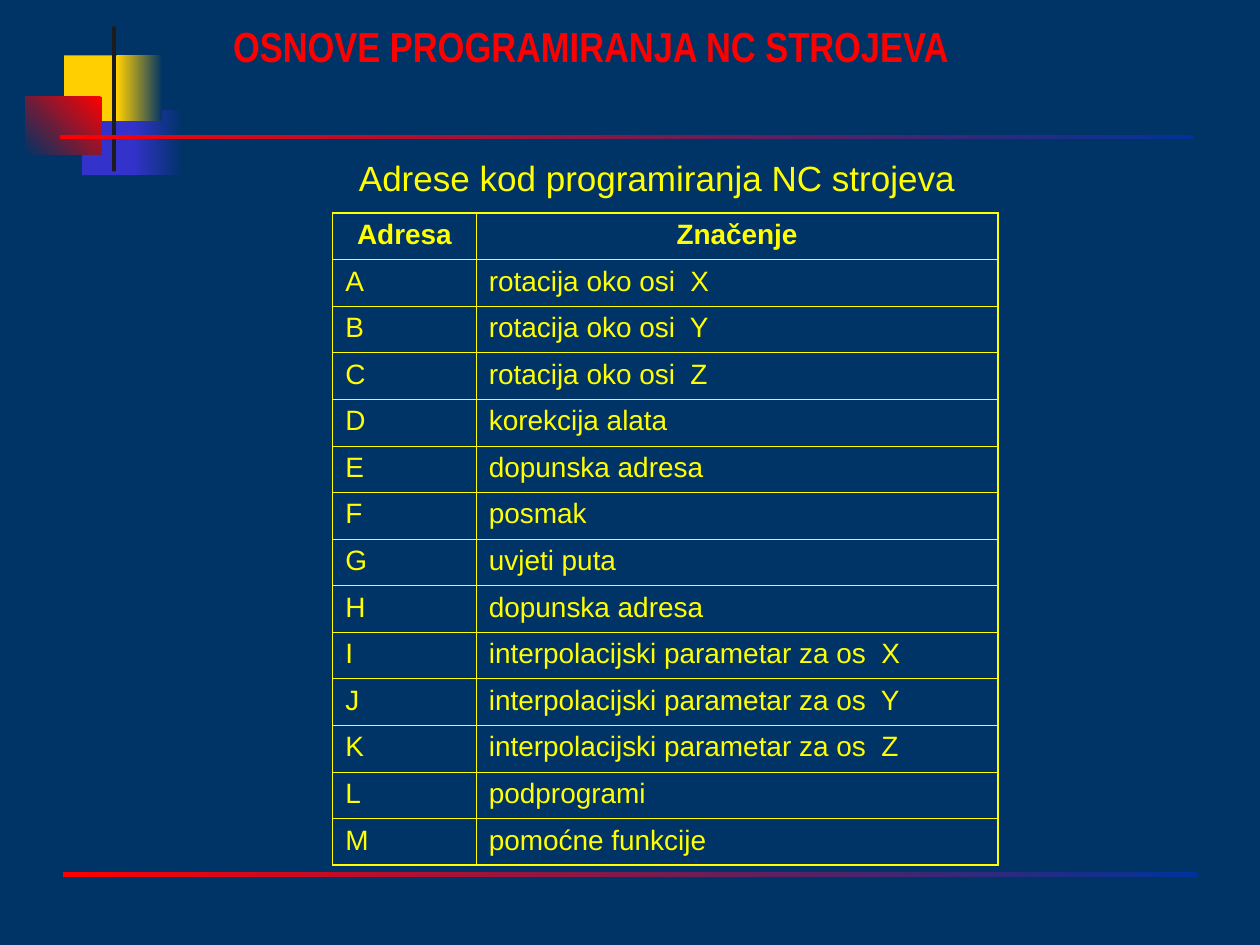
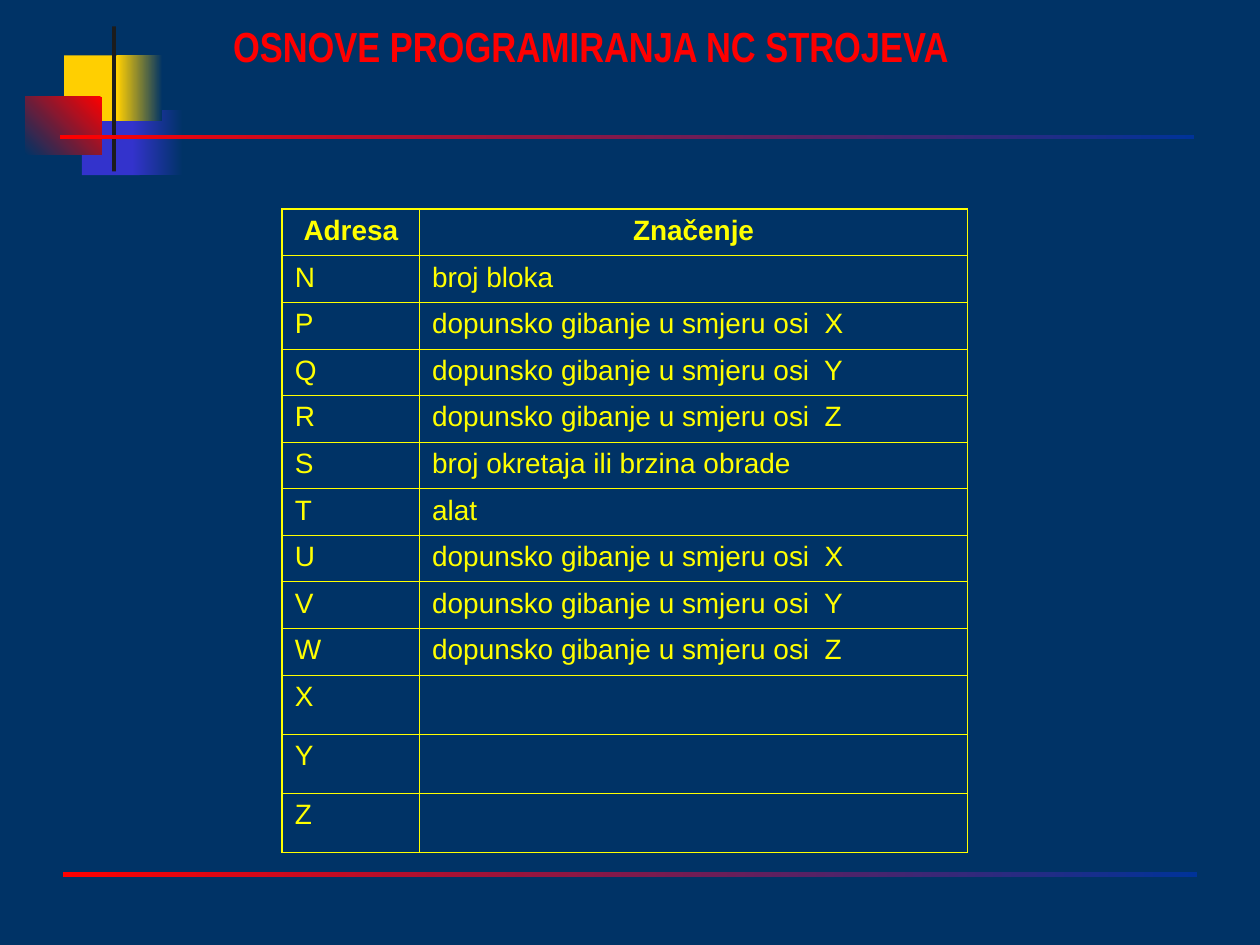
from lxml.etree import SubElement
from pptx import Presentation
from pptx.dml.color import RGBColor
from pptx.enum.shapes import MSO_SHAPE
from pptx.enum.text import MSO_ANCHOR, MSO_AUTO_SIZE, PP_ALIGN
from pptx.oxml.ns import qn
from pptx.util import Inches, Pt

NAVY, BLUE, INDIGO = "003366", "003399", "3333CC"
GOLD, RED, BLACK, YELLOW = "FFCF01", "FF0000", "1C1C1C", "FFFF00"
TITLE = "OSNOVE PROGRAMIRANJA NC STROJEVA"
HEADER = ("Adresa", "Značenje")
THIN, THICK = 0.45, 1.08

TITLE_FONT = {"name": "Arial Narrow", "size": Pt(24), "bold": True}
CAPTION_FONT = {"name": "Arial", "size": Pt(20), "bold": False}
HEADER_FONT = {"name": "Arial", "size": Pt(16), "bold": True}
BODY_FONT = {**HEADER_FONT, "bold": False}

# left, top, width, height, colours (one is solid, two a gradient), angle
DECOR = [
    (0.65, 0.87, 0.46, 0.52, [INDIGO], 0),
    (1.05, 0.87, 0.4, 0.52, [NAVY, INDIGO], 180),
    (0.51, 0.44, 0.48, 0.52, [GOLD], 0),
    (0.93, 0.44, 0.36, 0.52, [NAVY, GOLD], 180),
    (0.89, 0.21, 0.03, 1.15, [BLACK], 0),
    (0.2, 0.77, 0.61, 0.46, [RED, NAVY], 225),
    (0.5, 6.92, 9, 0.04, [BLUE, RED], 180),
    (0.48, 1.07, 9, 0.03, [BLUE, RED], 180),
]

SLIDES = [
    {
        "caption": "Adrese kod programiranja NC strojeva",
        "at": (2.64, 1.69), "cols": (1.14, 4.14),
        "rows": [
            ("A", "rotacija oko osi  X"),
            ("B", "rotacija oko osi  Y"),
            ("C", "rotacija oko osi  Z"),
            ("D", "korekcija alata"),
            ("E", "dopunska adresa"),
            ("F", "posmak"),
            ("G", "uvjeti puta"),
            ("H", "dopunska adresa"),
            ("I", "interpolacijski parametar za os  X"),
            ("J", "interpolacijski parametar za os  Y"),
            ("K", "interpolacijski parametar za os  Z"),
            ("L", "podprogrami"),
            ("M", "pomoćne funkcije"),
        ],
    },
    {
        "caption": None,
        "at": (2.24, 1.66), "cols": (1.09, 4.35),
        "rows": [
            ("N", "broj bloka"),
            ("P", "dopunsko gibanje u smjeru osi  X"),
            ("Q", "dopunsko gibanje u smjeru osi  Y"),
            ("R", "dopunsko gibanje u smjeru osi  Z"),
            ("S", "broj okretaja ili brzina obrade"),
            ("T", "alat"),
            ("U", "dopunsko gibanje u smjeru osi  X"),
            ("V", "dopunsko gibanje u smjeru osi  Y"),
            ("W", "dopunsko gibanje u smjeru osi  Z"),
            ("X", ""),
            ("Y", ""),
            ("Z", ""),
        ],
    },
]


def rgb(value):
    return RGBColor.from_string(value)


def write(tf, text, font, color, align):
    p = tf.paragraphs[0]
    p.alignment = align
    if text:
        r = p.add_run()
        r.text = text
        for name, value in font.items():
            setattr(r.font, name, value)
        r.font.color.rgb = rgb(color)
    return p


prs = Presentation()
prs.slide_width, prs.slide_height = Inches(10), Inches(7.5)
layout = prs.slide_layouts[5]

# Shared background
bg = prs.slide_master.background.fill
bg.solid()
bg.fore_color.rgb = rgb(NAVY)

for number, content in enumerate(SLIDES):
    s = prs.slides.add_slide(layout)

    # Shared decoration, drawn once and moved to the layout
    if number == 0:
        for left, top, width, height, colors, angle in DECOR:
            sp = s.shapes.add_shape(MSO_SHAPE.RECTANGLE, Inches(left), Inches(top),
                                    Inches(width), Inches(height))
            sp.shadow.inherit = False
            sp.line.fill.background()
            if len(colors) == 1:
                sp.fill.solid()
                sp.fill.fore_color.rgb = rgb(colors[0])
            else:
                sp.fill.gradient()
                sp.fill.gradient_angle = angle
                for stop, color in zip(sp.fill.gradient_stops, colors):
                    stop.color.rgb = rgb(color)
            layout.shapes._spTree.append(sp._element)

    # Title
    title = s.shapes.title
    title.left, title.top = Inches(1.75), Inches(0)
    title.width, title.height = Inches(8.25), Inches(1.01)
    tf = title.text_frame
    tf.vertical_anchor = MSO_ANCHOR.BOTTOM
    tf.margin_bottom = Inches(0.45)
    write(tf, TITLE, TITLE_FONT, RED, PP_ALIGN.LEFT).line_spacing = 0.8

    # Table
    rows = [HEADER] + content["rows"]
    heights = [0.37 if meaning else 0.47 for _, meaning in rows]
    left, top = content["at"]
    table = s.shapes.add_table(len(rows), 2, Inches(left), Inches(top),
                               Inches(sum(content["cols"])), Inches(sum(heights))).table
    table.first_row = table.horz_banding = False
    for col, width in zip(table.columns, content["cols"]):
        col.width = Inches(width)
    for i, texts in enumerate(rows):
        table.rows[i].height = Inches(heights[i])
        for j, text in enumerate(texts):
            cell = table.cell(i, j)
            font, align = ((HEADER_FONT, PP_ALIGN.CENTER) if i == 0
                           else (BODY_FONT, PP_ALIGN.JUSTIFY))
            write(cell.text_frame, text, font, YELLOW, align)
            # Thick borders on the outside, thin ones inside
            outer = {"L": j == 0, "R": j == 1, "T": i == 0, "B": i == len(rows) - 1}
            for side, is_outer in outer.items():
                ln = SubElement(cell._tc.get_or_add_tcPr(), qn(f"a:ln{side}"),
                                w=str(Pt(THICK if is_outer else THIN)))
                fill = SubElement(ln, qn("a:solidFill"))
                SubElement(fill, qn("a:srgbClr"), val=YELLOW)
            cell.fill.background()

    # Caption above the table, on one line
    if content["caption"]:
        tf = s.shapes.add_textbox(Inches(2.75), Inches(1.19),
                                  Inches(4.95), Inches(0.44)).text_frame
        tf.word_wrap = False
        tf.auto_size = MSO_AUTO_SIZE.SHAPE_TO_FIT_TEXT
        tf.vertical_anchor = MSO_ANCHOR.MIDDLE
        write(tf, content["caption"], CAPTION_FONT, YELLOW, PP_ALIGN.LEFT)

prs.save("out.pptx")
